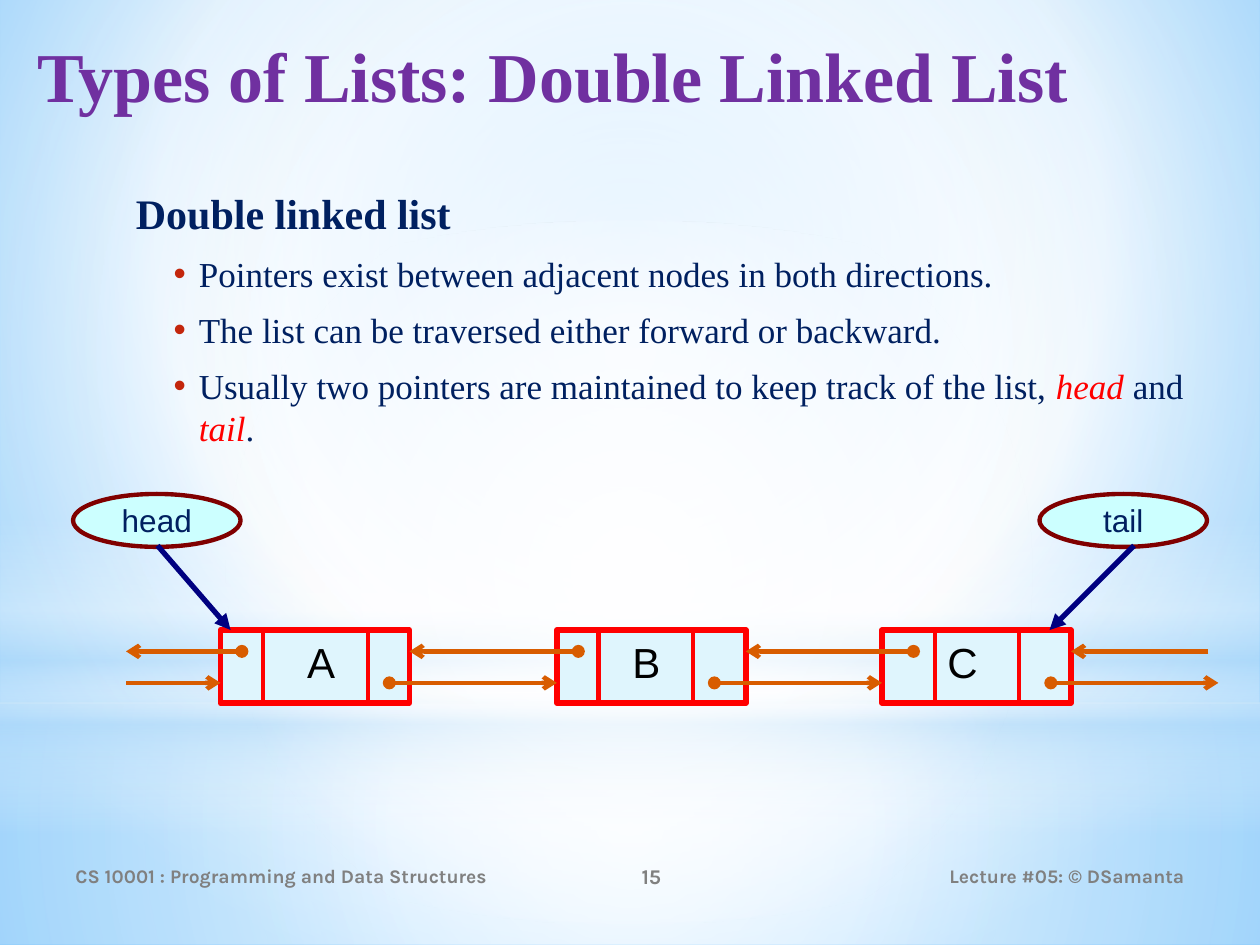
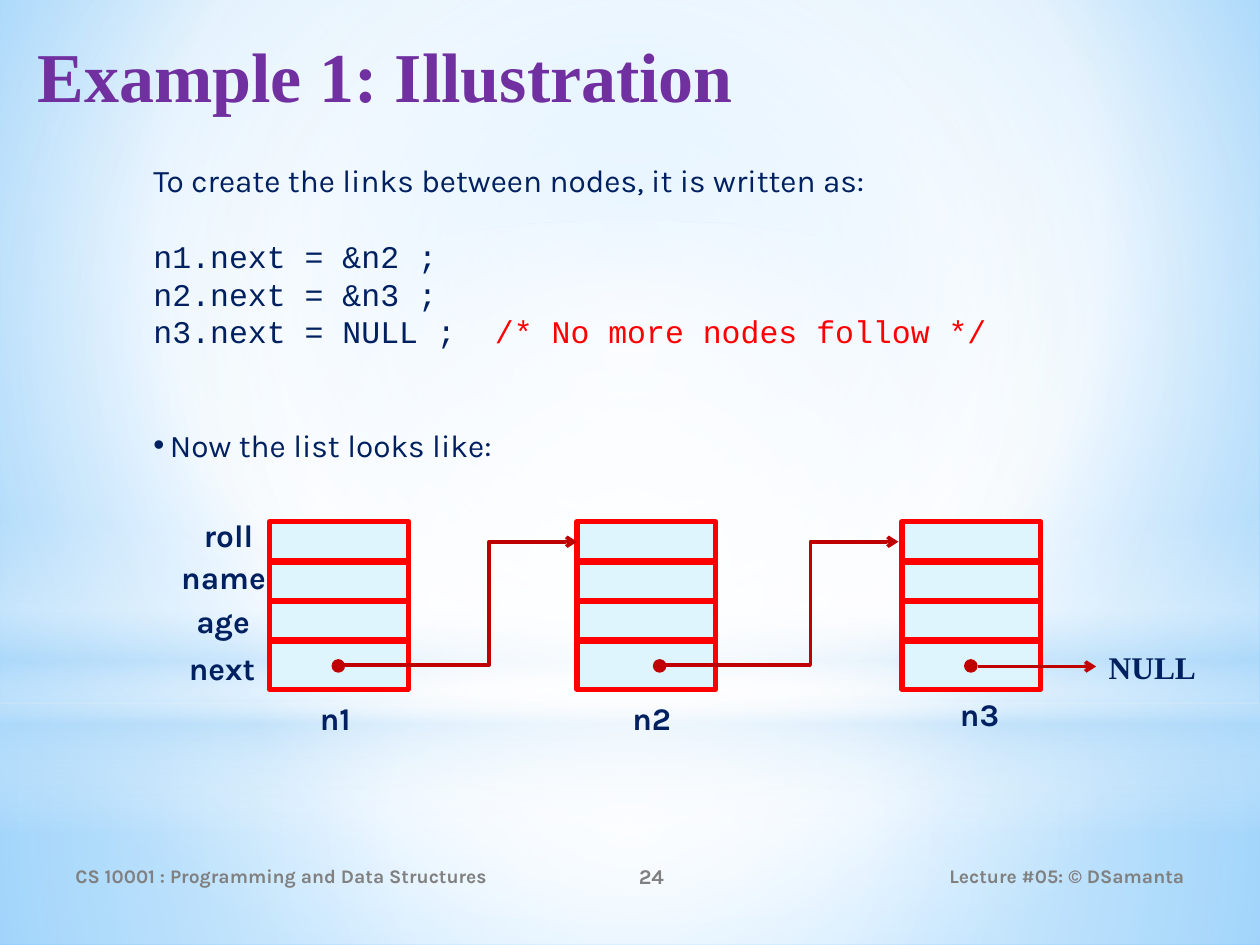
import lxml.etree
import pptx
import pptx.dml.color
import pptx.enum.shapes
import pptx.enum.text
import pptx.oxml.ns
import pptx.util

inch = pptx.util.Inches
point = pptx.util.Pt
tag = pptx.oxml.ns.qn
sub = lxml.etree.SubElement
rgb = pptx.dml.color.RGBColor.from_string
kinds = pptx.enum.shapes.MSO_SHAPE
wires = pptx.enum.shapes.MSO_CONNECTOR
align = pptx.enum.text.PP_ALIGN
middle = pptx.enum.text.MSO_ANCHOR.MIDDLE

# Theme: type is (font, size, colour, bold, italic); paint is (fill, line, width)
navy, red, gray = "002060", "FF0000", "808080"
serif, sans, mono, plain = "Times New Roman", "Karla", "Courier New", "Arial"
theme = {
    "type": {
        "title": (serif, 40, "7030A0", True, False),
        "foot": (sans, 11, gray, True, False),
        "number": (sans, 12, gray, True, False),
        "lead": (serif, 24, navy, True, False),
        "point": (serif, 20, navy, False, False),
        "stress": (serif, 20, red, False, True),
        "node": (plain, 24, "000000", False, False),
        "end": (plain, 18, navy, False, False),
        "body": (sans, 18, navy, False, False),
        "code": (mono, 18, navy, False, False),
        "remark": (mono, 18, red, False, False),
        "label": (sans, 18, navy, True, False),
        "null": (serif, 18, navy, True, False),
    },
    "paint": {
        "node": ("DFF5FD", red, 3.25),
        "cell": ("DFF5FD", red, 3),
        "end": ("CCFFFF", "800000", 2.5),
        "dot": ("C00000", "C00000", 1.25),
    },
    "wire": {
        "wall": (red, 2.5, None, None),
        "link": ("D85C00", 2.5, "oval", "arrow"),
        "entry": ("D85C00", 2.5, None, "arrow"),
        "end": ("000080", 3, None, "triangle"),
        "next": ("C00000", 2, None, "arrow"),
    },
    "bullet": "C3260C",
}

# Layers: shape, box, stops (place, colour, opacity), focus or None for vertical
white, sky = "FFFFFF", "B4DCFA"
center = (50, 50, 50, 50)
layers = [
    (None, None, [(0, "9ED5FF", 100), (60, white, 100), (100, "5BB9FF", 100)], (20, 10, 20, 60)),
    (kinds.RECTANGLE, (0, 5.58, 10, 1.92), [(0, white, 91), (37, white, 76), (100, sky, 79)], center),
    (kinds.RECTANGLE, (0, 0, 10, 5.58), [(0, white, 89), (48, white, 62), (100, sky, 79)], center),
    (kinds.RECTANGLE, (0, 4.12, 10, 2.5),
     [(0, white, 0), (29, white, 30), (45, sky, 40), (55, white, 26), (65, sky, 60), (100, white, 0)], None),
    (kinds.OVAL, (0, 1.75, 10, 5.58), [(0, white, 100), (56, white, 0)], center),
]


def draw(page, kind, box, paint=None, paras=(), **frame):
    """Add a shape, or a text box if kind is None; paras are (runs, format) pairs."""
    place = map(inch, box)
    if kind is None:
        shape = page.shapes.add_textbox(*place)
    else:
        shape = page.shapes.add_shape(kind, *place)
        shape.shadow.inherit = False
        shape.line.fill.background()
    if paint:
        fill, edge, width = theme["paint"][paint]
        shape.fill.solid()
        shape.fill.fore_color.rgb = rgb(fill)
        shape.line.color.rgb = rgb(edge)
        shape.line.width = point(width)
    text = shape.text_frame
    for key, value in {"word_wrap": True, **frame}.items():
        setattr(text, key, value)
    for spot, (runs, form) in enumerate(paras):
        para = text.add_paragraph() if spot else text.paragraphs[0]
        for key, value in {"alignment": align.LEFT, **form}.items():
            if key not in ("indent", "bullet", "tab"):
                setattr(para, key, value)
        props = para._p.get_or_add_pPr()
        if "indent" in form:
            left, hang = form["indent"]
            props.set("marL", str(inch(left)))
            props.set("indent", str(inch(hang)))
        if "bullet" in form:
            sub(sub(props, tag("a:buClr")), tag("a:srgbClr"), val=form["bullet"])
            sub(props, tag("a:buFont"), typeface=plain)
            sub(props, tag("a:buChar"), char="•")
        if "tab" in form:
            sub(sub(props, tag("a:tabLst")), tag("a:tab"), pos=str(inch(form["tab"])), algn="l")
        for words, style in runs:
            run = para.add_run()
            run.text = words
            name, size, ink, bold, slant = theme["type"][style]
            look = {"name": name, "size": point(size), "bold": bold, "italic": slant}
            for key, value in look.items():
                setattr(run.font, key, value)
            run.font.color.rgb = rgb(ink)
    return shape


def link(page, start, stop, wire, bend=None):
    """Add a connector; bend is the percentage of the width where an elbow turns."""
    ink, width, head, tail = theme["wire"][wire]
    kind = wires.ELBOW if bend else wires.STRAIGHT
    line = page.shapes.add_connector(kind, *map(inch, start + stop))
    line.line.color.rgb = rgb(ink)
    line.line.width = point(width)
    props = line.element.spPr
    edge = props.find(tag("a:ln"))
    for side, tip in (("a:headEnd", head), ("a:tailEnd", tail)):
        if tip:
            sub(edge, tag(side), type=tip)
    if bend:
        guides = next(props.iter(tag("a:avLst")))
        sub(guides, tag("a:gd"), name="adj1", fmla=f"val {bend * 1000}")
    sub(props, tag("a:effectLst"))
    return line


deck = pptx.Presentation()
deck.slide_width, deck.slide_height = inch(10), inch(7.5)

# Shared backdrop, title and footer
pages = []
for title, number in (("Types of Lists: Double Linked List", "15"), ("Example 1: Illustration", "24")):
    page = deck.slides.add_slide(deck.slide_layouts[6])
    pages.append(page)
    for kind, box, stops, focus in layers:
        if box:
            base = draw(page, kind, box)
            base.fill.gradient()
        else:
            base = page
            page.background.fill.gradient()
        blend = next(base.element.iter(tag("a:gradFill")))
        for child in list(blend):
            blend.remove(child)
        ramp = sub(blend, tag("a:gsLst"))
        for place, ink, alpha in stops:
            stop = sub(ramp, tag("a:gs"), pos=str(place * 1000))
            tone = sub(stop, tag("a:srgbClr"), val=ink)
            if alpha < 100:
                sub(tone, tag("a:alpha"), val=str(alpha * 1000))
        if focus:
            path = sub(blend, tag("a:path"), path="circle")
            sub(path, tag("a:fillToRect"), **{side: str(part * 1000) for side, part in zip("ltrb", focus)})
        else:
            sub(blend, tag("a:lin"), ang="5400000", scaled="0")
    draw(page, None, (0.2, 0.21, 9.53, 1.1),
         paras=[([(title, "title")], {"space_before": point(4.5)})])
    for left, width, words, style, side in (
        (0.5, 3.67, "CS 10001 : Programming and Data Structures", "foot", align.LEFT),
        (4.17, 2, number, "number", align.CENTER),
        (6.75, 2.75, "Lecture #05: © DSamanta", "foot", align.RIGHT),
    ):
        draw(page, None, (left, 6.75, width, 0.4), paras=[([(words, style)], {"alignment": side})],
             vertical_anchor=middle)

double, sample = pages

# Double linked list: text
item = {"indent": (0.9, -0.2), "bullet": theme["bullet"],
        "space_before": point(5), "space_after": point(3)}
draw(double, None, (0.58, 1.44, 9, 4.95), paras=[
    ([("Double linked list", "lead")],
     {"indent": (0.4, 0), "space_before": point(2.4), "space_after": point(3)}),
    ([("Pointers exist between adjacent nodes in both directions.", "point")], item),
    ([("The list can be traversed either forward or backward.", "point")], item),
    ([("Usually two pointers are maintained to keep track of the list, ", "point"),
      ("head ", "stress"), ("and ", "point"), ("tail", "stress"), (".", "point")], item),
])

# Double linked list: nodes with their inner walls
top, base = 5, 5.58
for name, left, walls, label in (
    ("A", 1.75, (2.09, 2.92), 2.34),
    ("B", 4.42, (4.75, 5.5), 4.92),
    ("C", 7, (7.42, 8.09), 7.42),
):
    draw(double, kinds.RECTANGLE, (left, top, 1.5, base - top), "node")
    for wall in walls:
        link(double, (wall, top), (wall, base), "wall")
    draw(double, None, (label, top, 0.67, 0.5),
         paras=[([(name, "node")], {"space_before": point(3)})])

# Double linked list: links in both directions
back, ahead = 5.17, 5.42
for start, stop in ((3.09, 4.42), (5.67, 7), (8.34, 9.67)):
    link(double, (start, ahead), (stop, ahead), "link")
for start, stop in ((1.92, 1), (4.59, 3.25), (7.25, 5.92)):
    link(double, (start, back), (stop, back), "link")
link(double, (1, ahead), (1.75, ahead), "entry")
link(double, (9.59, back), (8.5, back), "entry")

# Double linked list: head and tail
for name, left, start, stop in (("head", 0.58, 1.25, 1.83), ("tail", 8.25, 9, 8.33)):
    draw(double, kinds.OVAL, (left, 3.92, 1.33, 0.42), "end",
         [([(name, "end")], {"alignment": align.CENTER})], vertical_anchor=middle, word_wrap=False)
    link(double, (start, 4.33), (stop, top), "end")

# Example: text and code
pitch = 21.6
row = {"line_spacing": point(pitch)}
draw(sample, None, (1.12, 1.23, 7.97, 2.52), paras=[
    ([("To create the links between nodes, it is written as:", "body")], row),
    ([("n1.next = &n2 ;", "code")], {**row, "space_before": point(pitch)}),
    ([("n2.next = &n3 ;", "code")], row),
    ([("n3.next = NULL ;\t", "code"), ("/* No more nodes follow */", "remark")], {**row, "tab": 2.71}),
    ([("Now the list looks like:", "body")],
     {**row, "space_before": point(2 * pitch), "indent": (0.13, -0.13), "bullet": navy}),
])

# Example: records
for left in (2.14, 4.58, 7.16):
    for top, height in ((4.14, 0.31), (4.46, 0.31), (4.77, 0.31), (5.09, 0.38)):
        draw(sample, kinds.RECTANGLE, (left, top, 1.1, height), "cell")

# Example: field and record names
for name, left, top, width in (
    ("roll", 1.52, 4.05, 0.63), ("name", 1.34, 4.38, 0.97),
    ("age", 1.46, 4.73, 0.63), ("next", 1.4, 5.1, 0.75),
    ("n1", 2.44, 5.5, 0.59), ("n2", 4.92, 5.5, 0.59), ("n3", 7.52, 5.47, 0.59),
):
    draw(sample, None, (left, top, width, 0.4), paras=[([(name, "label")], {})])

# Example: next pointers
for start, stop in ((2.69, 4.58), (5.24, 7.13)):
    link(sample, (start, 5.28), (stop, 4.3), "next", bend=63)
for left in (2.64, 5.19, 7.66):
    draw(sample, kinds.OVAL, (left, 5.24, 0.09, 0.09), "dot")
null = draw(sample, None, (8.7, 5.09, 0.94, 0.4), paras=[([("NULL", "null")], {})])
link(sample, (7.76, 5.29), (8.7, 5.29), "next").end_connect(null, 1)

deck.save("out.pptx")
